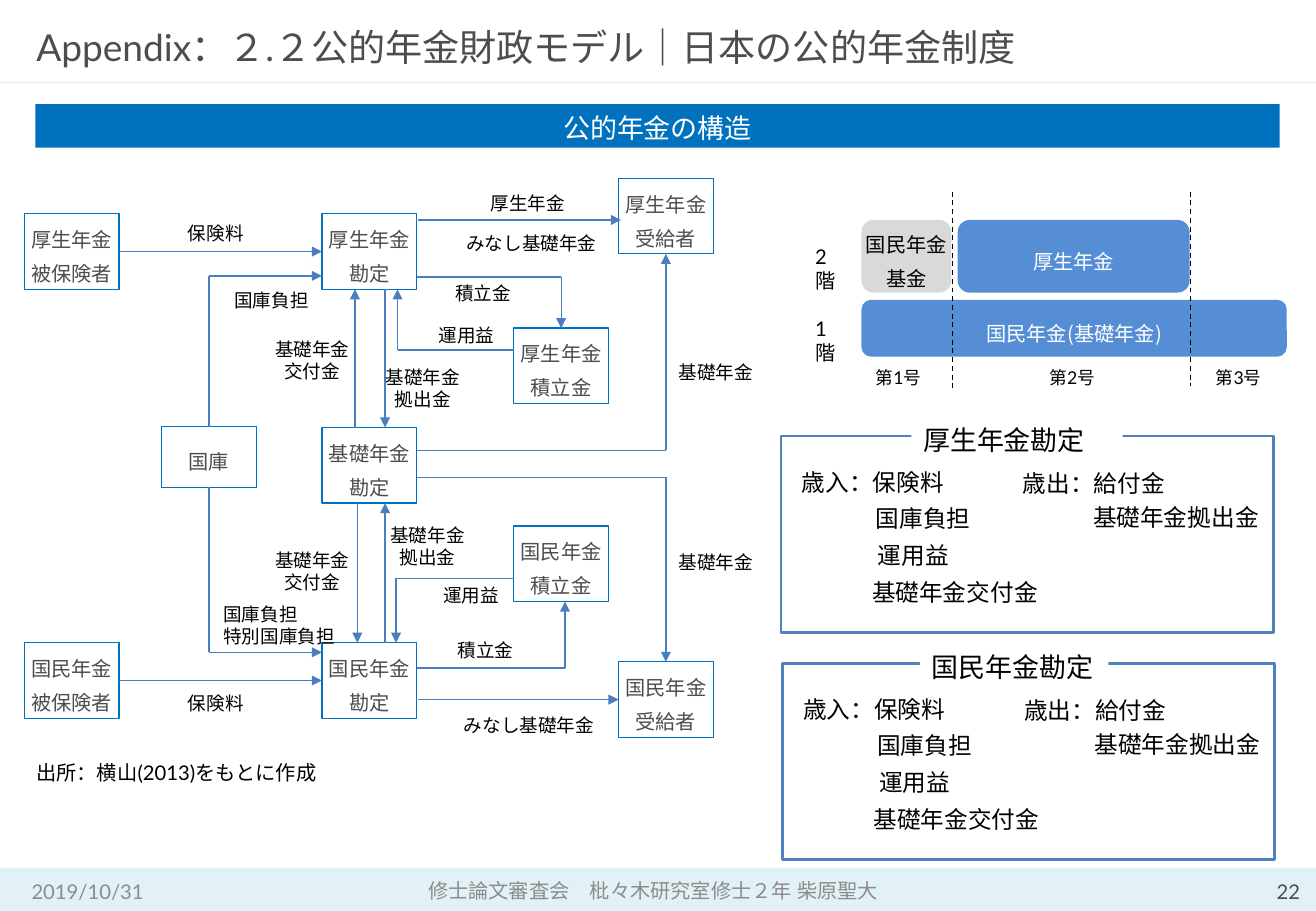
"""Build the slide on the structure of the Japanese public pension system."""
from itertools import pairwise

from lxml.etree import SubElement
from pptx import Presentation
from pptx.dml.color import RGBColor
from pptx.enum.dml import MSO_LINE
from pptx.enum.shapes import MSO_CONNECTOR, MSO_SHAPE
from pptx.enum.text import MSO_ANCHOR, PP_ALIGN
from pptx.oxml.ns import qn
from pptx.util import Cm, Pt

BODY_FONT = "Lato"
BOX_FONT = "Noto Sans CJK JP"
BLACK, WHITE, GREY, DARK = "000000", "FFFFFF", "8C8C8C", "4D4D4D"
LEFT, CENTER, RIGHT = PP_ALIGN.LEFT, PP_ALIGN.CENTER, PP_ALIGN.RIGHT
TOP, MIDDLE = MSO_ANCHOR.TOP, MSO_ANCHOR.MIDDLE
TEXT_INSETS = (0.25, 0.13, 0.25, 0.13)
NO_INSETS = (0, 0, 0, 0)

FLOW_BOXES = {
    "厚生年金被保険者": (0.51, 4.47, 1.98, 1.58),
    "国民年金被保険者": (0.51, 13.44, 1.98, 1.58),
    "国庫": (3.38, 8.92, 1.98, 1.27),
    "厚生年金勘定": (6.73, 4.47, 1.98, 1.58),
    "基礎年金勘定": (6.73, 8.94, 1.98, 1.58),
    "国民年金勘定": (6.73, 13.44, 1.98, 1.58),
    "厚生年金積立金": (10.74, 6.86, 1.98, 1.58),
    "国民年金積立金": (10.74, 11, 1.98, 1.58),
    "厚生年金受給者": (12.93, 3.73, 1.98, 1.58),
    "国民年金受給者": (12.93, 13.84, 1.98, 1.58),
}
FLOW_ROUTES = [
    [("厚生年金被保険者", 3), ("厚生年金勘定", 1)],
    [("国民年金被保険者", 3), ("国民年金勘定", 1)],
    [("国庫", 0), (4.37, 5.77), (6.73, 5.77)],
    [("国庫", 2), (4.37, 13.64), (6.73, 13.64)],
    [(8.74, 4.6), (12.98, 4.6)],
    [(8.74, 14.63), ("国民年金受給者", 1)],
    [(8.71, 9.42), (13.92, 9.42), ("厚生年金受給者", 2)],
    [(8.71, 9.98), (13.92, 9.98), ("国民年金受給者", 0)],
    [(8.71, 5.79), (11.73, 5.79), ("厚生年金積立金", 0)],
    [(10.74, 7.32), (8.31, 7.32), (8.31, 6.05)],
    [(8.71, 13.97), (11.81, 13.97), (11.81, 12.58)],
    [(10.74, 12.09), (8.28, 12.09), (8.28, 13.44)],
    [(8.05, 6.05), (8.05, 8.94)],
    [(8.05, 13.44), (8.05, 10.52)],
    [(7.42, 8.94), (7.42, 6.05)],
    [(7.47, 10.52), (7.47, 13.44)],
]
FLOW_LABELS = [
    ("保険料", 3.68, 4.52, 1.68, LEFT),
    ("保険料", 3.68, 14.35, 1.68, LEFT),
    ("国庫負担", 4.65, 5.92, 2.08, LEFT),
    ("国庫負担\n特別国庫負担", 4.42, 12.47, 2.87, LEFT),
    ("基礎年金\n拠出金", 7.8, 7.52, 2.08, CENTER),
    ("基礎年金\n拠出金", 7.9, 10.82, 2.08, CENTER),
    ("基礎年金\n交付金", 5.49, 6.93, 2.08, CENTER),
    ("基礎年金\n交付金", 5.49, 11.35, 2.08, CENTER),
    ("厚生年金", 10.01, 3.89, 2.08, LEFT),
    ("みなし基礎年金", 9.5, 4.72, 3.25, LEFT),
    ("みなし基礎年金", 9.45, 14.81, 3.25, LEFT),
    ("基礎年金", 13.94, 7.42, 2.08, LEFT),
    ("基礎年金", 13.94, 11.4, 2.08, LEFT),
    ("積立金", 9.27, 5.77, 1.68, LEFT),
    ("運用益", 8.92, 6.65, 1.68, LEFT),
    ("積立金", 9.32, 13.23, 1.68, LEFT),
    ("運用益", 9.02, 12.09, 1.68, LEFT),
]
PENSION_TIERS = [
    ("国民年金(基礎年金)", (18.01, 6.27, 8.89, 1.19), "558ED5", WHITE),
    ("厚生年金", (20.02, 4.6, 4.85, 1.52), "558ED5", WHITE),
    ("国民年金基金", (18.01, 4.6, 1.88, 1.52), "D9D9D9", BLACK),
]
ACCOUNT_ITEMS = [
    ("歳入：保険料", 0.18, 0.53, 3.94),
    ("国庫負担", 1.73, 1.28, 2.82),
    ("運用益", 1.77, 2.06, 2.26),
    ("基礎年金交付金", 1.65, 2.84, 4.52),
    ("歳出：給付金", 4.8, 0.56, 3.94),
    ("基礎年金拠出金", 6.27, 1.27, 4.52),
]


def color(value):
    return RGBColor.from_string(value)


def write(box, text, size, ink=BLACK, font=BODY_FONT, align=LEFT, anchor=TOP,
          insets=TEXT_INSETS, spacing=None, after=0):
    frame = box.text_frame
    frame.text = text
    frame.word_wrap = True
    frame.vertical_anchor = anchor
    frame.margin_left, frame.margin_top, frame.margin_right, frame.margin_bottom = map(Cm, insets)
    for para in frame.paragraphs:
        para.alignment = align
        para.line_spacing = spacing
        para.space_before, para.space_after = Pt(0), Pt(after)
        for span in para.runs:
            span.font.size = Pt(size)
            span.font.name = font
            span.font.color.rgb = color(ink)
            SubElement(span.font._element, qn("a:ea"), typeface=BODY_FONT)


def add_label(page, text, at, size, **style):
    write(page.shapes.add_textbox(*map(Cm, at)), text, size, **style)


def add_box(page, at, fill=None, outline=None, weight=0.75, kind=MSO_SHAPE.RECTANGLE):
    box = page.shapes.add_shape(kind, *map(Cm, at))
    box.shadow.inherit = False
    if fill:
        box.fill.solid()
        box.fill.fore_color.rgb = color(fill)
    else:
        box.fill.background()
    if outline:
        box.line.color.rgb = color(outline)
        box.line.width = Pt(weight)
    else:
        box.line.fill.background()
    return box


def add_line(page, begin, end, ink):
    line = page.shapes.add_connector(MSO_CONNECTOR.STRAIGHT, *begin, *end)
    line.line.color.rgb = color(ink)
    line.line.width = Pt(0.75)
    SubElement(line._element.spPr, qn("a:effectLst"))
    return line


def locate(stop, boxes):
    first, second = stop
    if first not in boxes:
        return Cm(first), Cm(second)
    box = boxes[first]
    middle_x, middle_y = box.left + box.width // 2, box.top + box.height // 2
    sides = [(middle_x, box.top), (box.left, middle_y),
             (middle_x, box.top + box.height), (box.left + box.width, middle_y)]
    return sides[second]


def add_route(page, stops, boxes):
    for begin, end in pairwise(stops):
        line = add_line(page, locate(begin, boxes), locate(end, boxes), "4B7EBC")
        if begin[0] in boxes:
            line.begin_connect(boxes[begin[0]], begin[1])
        if end[0] in boxes:
            line.end_connect(boxes[end[0]], end[1])
    SubElement(line.line._get_or_add_ln(), qn("a:tailEnd"), type="triangle")


def add_flow(page):
    boxes = {}
    for name, at in FLOW_BOXES.items():
        boxes[name] = add_box(page, at, outline="0070C0")
        write(boxes[name], name, 12, DARK, BOX_FONT, CENTER, MIDDLE, (0, 0.1, 0, 0.1), 1.4, 6)
    for stops in FLOW_ROUTES:
        add_route(page, stops, boxes)
    for text, left, top, width, align in FLOW_LABELS:
        add_label(page, text, (left, top, width, 0.74), 11, align=align)


def add_tiers(page):
    for text, at, fill, ink in PENSION_TIERS:
        tier = add_box(page, at, fill, kind=MSO_SHAPE.ROUNDED_RECTANGLE)
        write(tier, text, 12, ink, BOX_FONT, CENTER, MIDDLE, NO_INSETS, 1.4, 6)
    for text, top in (("1階", 6.48), ("2階", 4.98)):
        add_label(page, text, (16.79, top, 0.81, 0.76), 12)
    for text, left in (("第1号", 18.06), ("第2号", 21.69), ("第3号", 25.17)):
        add_label(page, text, (left, 7.54, 1.47, 0.71), 10.5)
    for x, bottom in ((19.91, 8.15), (24.88, 8.08)):
        divider = add_line(page, (Cm(x), Cm(4.01)), (Cm(x), Cm(bottom)), BLACK)
        divider.line.dash_style = MSO_LINE.DASH


def add_account(page, name, left, top, name_left, name_width):
    add_box(page, (left, top, 10.29, 4.11), outline="4F81BD", weight=1.5)
    heading = add_box(page, (name_left, top - 0.39, name_width, 0.94), WHITE)
    write(heading, name, 16)
    for text, across, down, width in ACCOUNT_ITEMS:
        add_label(page, text, (left + across, top + down, width, 0.86), 14)


def add_frame(page):
    ribbon = add_box(page, (0, 18.15, 27.51, 0.9), "DBEEF4")
    tint = ribbon._element.spPr.find(qn("a:solidFill"))[0]
    SubElement(tint, qn("a:alpha"), val="80000")
    add_line(page, (0, Cm(1.73)), (Cm(27.51), Cm(1.73)), "EAEAEA")
    title = page.shapes.title
    title.left, title.top, title.width, title.height = map(Cm, (0.76, 0.43, 26.01, 1.09))
    write(title, "Appendix：２.２公的年金財政モデル｜日本の公的年金制度", 22, DARK,
          anchor=MIDDLE, insets=NO_INSETS)
    banner = add_box(page, (0.74, 2.18, 26.01, 0.91), "0071BC")
    write(banner, "公的年金の構造", 16, WHITE, align=CENTER, anchor=MIDDLE,
          insets=(0, 0.15, 0, 0.08), after=4.5)
    add_label(page, "出所：横山(2013)をもとに作成", (0.51, 15.77, 6.4, 0.76), 12)
    add_label(page, "2019/10/31", (0.41, 18.36, 6.2, 0.56), 12, ink=GREY, anchor=MIDDLE)
    add_label(page, "修士論文審査会　枇々木研究室修士２年 柴原聖大", (6.6, 18.34, 14.12, 0.58), 12,
              ink=GREY, align=CENTER, anchor=MIDDLE)
    add_label(page, "22", (20.75, 18.39, 6.43, 0.51), 12, ink=DARK, align=RIGHT,
              anchor=MIDDLE, insets=NO_INSETS)


def main():
    deck = Presentation()
    deck.slide_width, deck.slide_height = Cm(27.51), Cm(19.05)
    page = deck.slides.add_slide(deck.slide_layouts[5])
    add_frame(page)
    add_flow(page)
    add_tiers(page)
    add_account(page, "厚生年金勘定", 16.33, 9.12, 19.05, 4.42)
    add_account(page, "国民年金勘定", 16.36, 13.87, 19.23, 3.94)
    deck.save("out.pptx")


if __name__ == "__main__":
    main()
